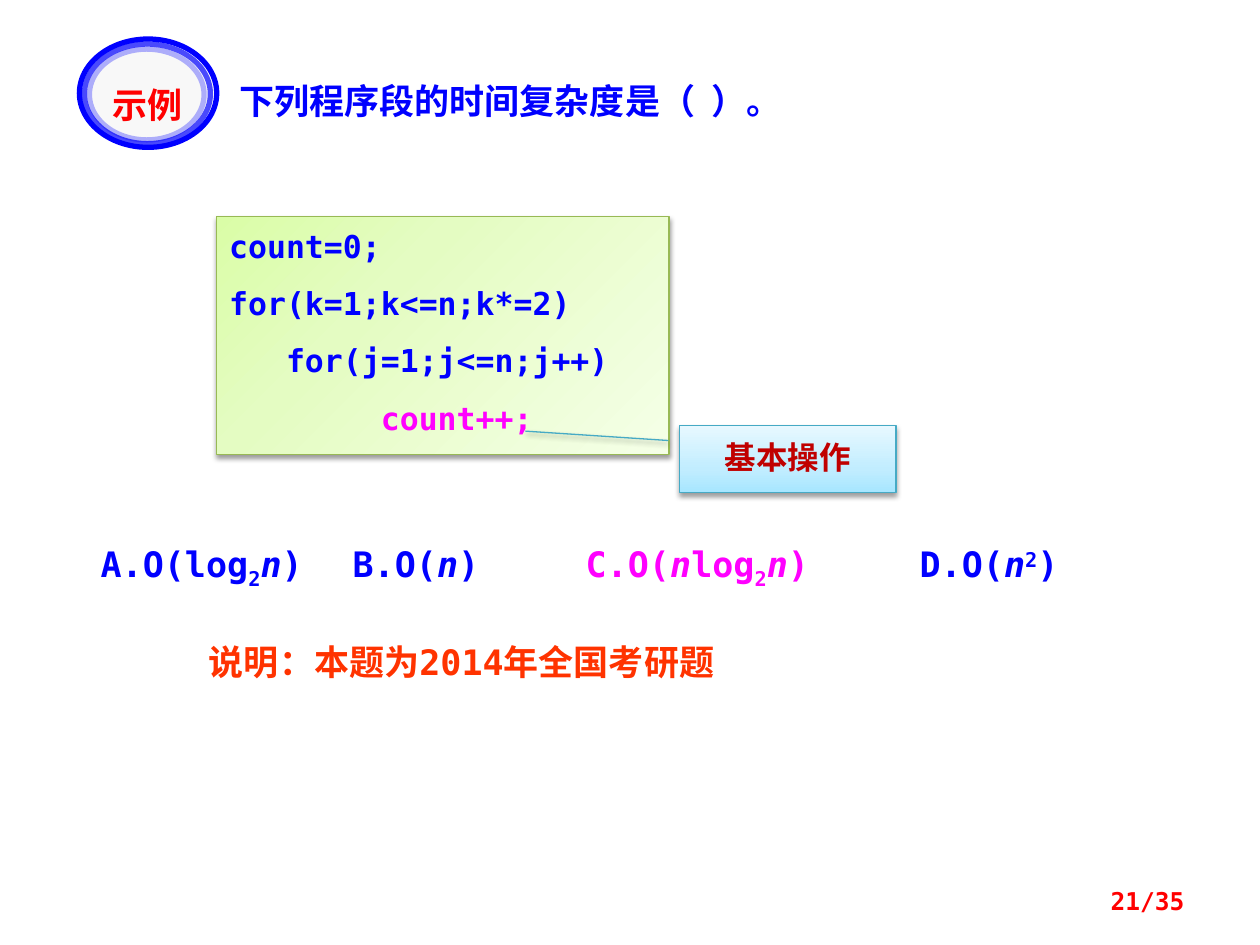
from lxml import etree
from pptx import Presentation
from pptx.dml.color import RGBColor
from pptx.enum.shapes import MSO_SHAPE
from pptx.enum.text import MSO_ANCHOR, PP_ALIGN
from pptx.oxml.ns import qn
from pptx.util import Inches, Pt

RECT, OVAL = MSO_SHAPE.RECTANGLE, MSO_SHAPE.OVAL
CALLOUT = MSO_SHAPE.LINE_CALLOUT_2
TOP, MIDDLE = MSO_ANCHOR.TOP, MSO_ANCHOR.MIDDLE
LEFT, CENTER, RIGHT = PP_ALIGN.LEFT, PP_ALIGN.CENTER, PP_ALIGN.RIGHT

BLUE = RGBColor(0x00, 0x00, 0xFF)
MAGENTA = RGBColor(0xFF, 0x00, 0xFF)
RED = RGBColor(0xFF, 0x00, 0x00)
ORANGE = RGBColor(0xFF, 0x33, 0x00)
DARK_RED = RGBColor(0xC0, 0x00, 0x00)
PALE_GRAY = RGBColor(0xF8, 0xF8, 0xF8)
GREEN_LINE = RGBColor(0x98, 0xB9, 0x55)
CYAN_LINE = RGBColor(0x46, 0xAA, 0xC5)
GREEN_STOPS = ((0, "DAFDA7"), (35, "E4FCC2"), (100, "F5FFE7"))
CYAN_STOPS = ((0, "A7E6FF"), (35, "C1EDFF"), (100, "E7F8FF"))

MONO, CJK = "DejaVu Sans Mono", "Noto Sans CJK JP"
BASELINES = {"sub": "-25000", "sup": "30000"}


def sub(parent, tag, **attrs):
    return etree.SubElement(parent, qn(tag), {k: str(v) for k, v in attrs.items()})


def add_run(p, text, size, color, font=MONO, style=""):
    """Add a bold run; style is "", "italic", "sub" or "sup"."""
    r = p.add_run()
    r.text = text
    r.font.size = Pt(size)
    r.font.bold = True
    r.font.color.rgb = color
    r.font.name = font
    rPr = r.font._element
    sub(rPr, "a:ea", typeface=CJK)
    if style == "italic":
        r.font.italic = True
    elif style:
        rPr.set("baseline", BASELINES[style])


def format_frame(tf, align=LEFT, anchor=TOP, spacing=1.1):
    """Prepare a frame and return its first paragraph."""
    tf.word_wrap = True
    tf.vertical_anchor = anchor
    p = tf.paragraphs[0]
    p.alignment = align
    p.line_spacing = spacing
    return p


def add_text(shapes, box, text, size, color, font=MONO, **layout):
    tf = shapes.add_textbox(*map(Inches, box)).text_frame
    add_run(format_frame(tf, **layout), text, size, color, font)


def add_title(s, box, text):
    title = s.shapes.title
    title.left, title.top, title.width, title.height = map(Inches, box)
    add_run(format_frame(title.text_frame), text, 20, BLUE)


def add_gradient_box(s, kind, box, stops, angle, line):
    sp = s.shapes.add_shape(kind, *map(Inches, box))
    spPr = sp._element.spPr
    grad = etree.Element(qn("a:gradFill"), rotWithShape="1")
    gs_list = sub(grad, "a:gsLst")
    for pos, color in stops:
        sub(sub(gs_list, "a:gs", pos=pos * 1000), "a:srgbClr", val=color)
    sub(grad, "a:lin", ang=angle * 60000, scaled=0)
    spPr.find(qn("a:prstGeom")).addnext(grad)
    sp.line.color.rgb = line
    sp.line.width = Pt(0.75)
    sp.shadow.inherit = False
    shadow = sub(spPr.find(qn("a:effectLst")), "a:outerShdw", blurRad=Pt(3.1),
                 dist=Pt(1.6), dir=90 * 60000, rotWithShape=0)
    sub(sub(shadow, "a:srgbClr", val="000000"), "a:alpha", val=38000)
    return sp


def add_code(s):
    sp = add_gradient_box(s, RECT, (1.72, 1.72, 3.59, 1.89), GREEN_STOPS, 45, GREEN_LINE)
    tf = sp.text_frame
    p = format_frame(tf)
    add_run(p, "count=0;", 18, BLUE)
    for indent, code, color in (("", "for(k=1;k<=n;k*=2)", BLUE),
                                ("   ", "for(j=1;j<=n;j++)", BLUE),
                                ("        ", "count++;", MAGENTA)):
        p = tf.add_paragraph()
        p.alignment = LEFT
        p.line_spacing = 1.1
        p.space_before = Pt(9)
        add_run(p, indent + code, 18, color)


def add_callout(s):
    sp = add_gradient_box(s, CALLOUT, (5.39, 3.38, 1.72, 0.53), CYAN_STOPS, 270, CYAN_LINE)
    for i, value in enumerate((0.22, -0.05, 0.22, -0.05, 0.08, -0.71)):
        sp.adjustments[i] = value
    p = format_frame(sp.text_frame, CENTER, spacing=Pt(25))
    add_run(p, "基本操作", 18, DARK_RED, CJK)


def add_options(s):
    """Lay the four answers on one line, parted by tab stops."""
    options = (
        (BLUE, (("A.O(log", ""), ("2", "sub"), ("n", "italic"), (")", ""))),
        (BLUE, (("B.O(", ""), ("n", "italic"), (")", ""))),
        (MAGENTA, (("C.O(", ""), ("n", "italic"), ("log", ""), ("2", "sub"),
                   ("n", "italic"), (")", ""))),
        (BLUE, (("D.O(", ""), ("n", "italic"), ("2", "sup"), (")", ""))),
    )
    tf = s.shapes.add_textbox(*map(Inches, (0.7, 4.22, 8.2, 0.45))).text_frame
    p = format_frame(tf)
    tabs = sub(p._p.get_or_add_pPr(), "a:tabLst")
    for pos in (2, 3.85, 6.5):
        sub(tabs, "a:tab", pos=Inches(pos), algn="l")
    for i, (color, parts) in enumerate(options):
        if i:
            add_run(p, "\t", 20, color)
        for text, style in parts:
            add_run(p, text, 20, color, style=style)


def add_badge(s):
    shapes = s.shapes.add_group_shape().shapes
    for box, opacity in (((0.63, 0.31, 1.09, 0.86), 100),
                         ((0.67, 0.35, 1, 0.79), 70),
                         ((0.71, 0.39, 0.91, 0.72), 30)):
        sp = shapes.add_shape(OVAL, *map(Inches, box))
        sp.shadow.inherit = False
        sp.line.color.rgb = BLUE
        sp.line.width = Pt(3)
        if opacity == 100:
            sp.fill.solid()
            sp.fill.fore_color.rgb = PALE_GRAY
        else:
            sp.fill.background()
            color = sp._element.spPr.find(".//" + qn("a:ln")).find(".//" + qn("a:srgbClr"))
            sub(color, "a:alpha", val=opacity * 1000)
    add_text(shapes, (0.69, 0.58, 0.96, 0.39), "示例", 20, RED, CJK, align=CENTER)


def main():
    prs = Presentation()
    prs.slide_width, prs.slide_height = Inches(10), Inches(7.5)
    s = prs.slides.add_slide(prs.slide_layouts[5])
    add_title(s, (1.8, 0.55, 4.92, 0.45), "下列程序段的时间复杂度是（  ）。")
    add_options(s)
    add_code(s)
    add_text(s.shapes, (1.56, 5, 4.38, 0.46), "说明：本题为2014年全国考研题", 20, ORANGE)
    add_callout(s)
    add_badge(s)
    add_text(s.shapes, (7.17, 6.95, 2.33, 0.4), "21/35", 14, RED,
             align=RIGHT, anchor=MIDDLE, spacing=1.0)
    prs.save("out.pptx")


if __name__ == "__main__":
    main()
